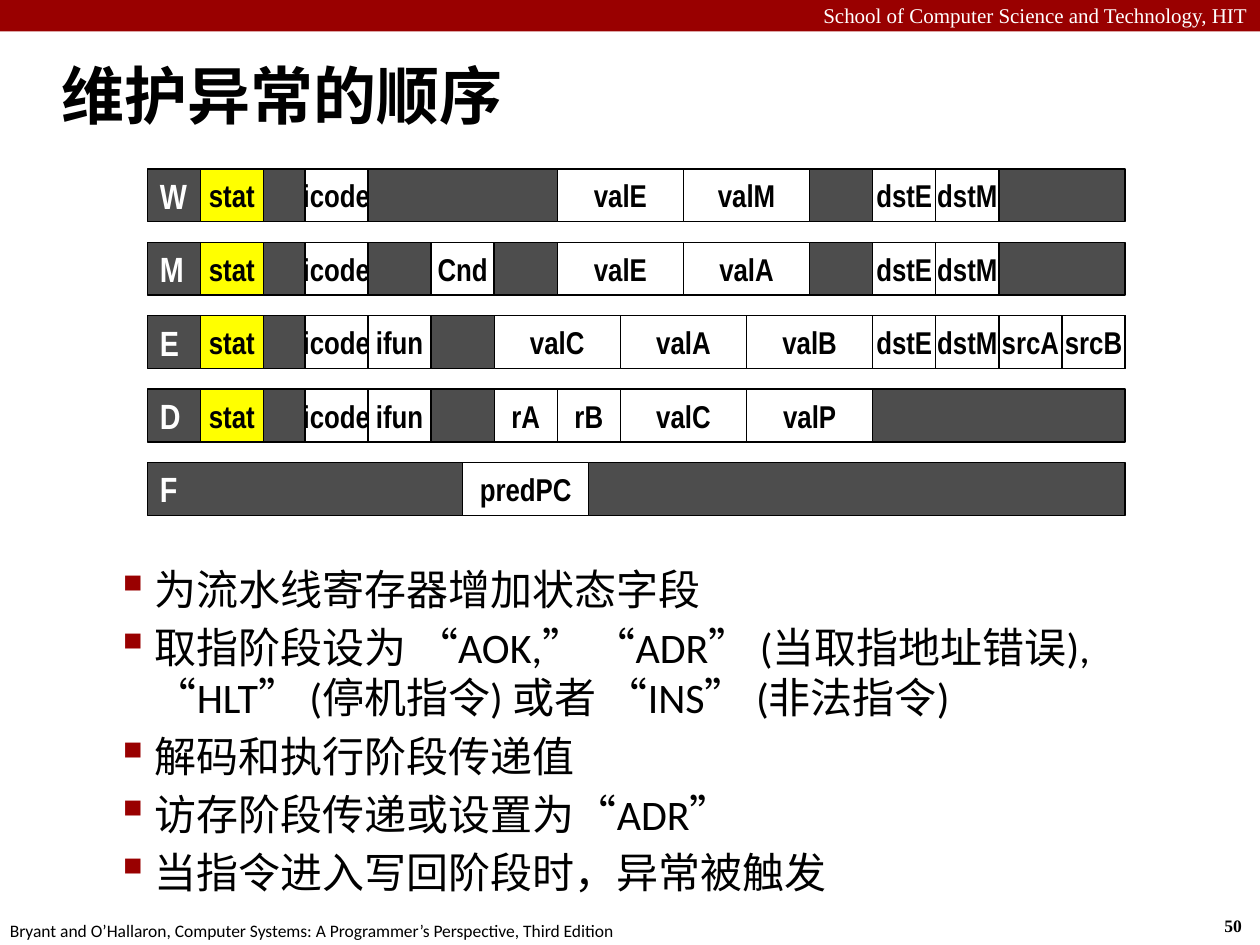
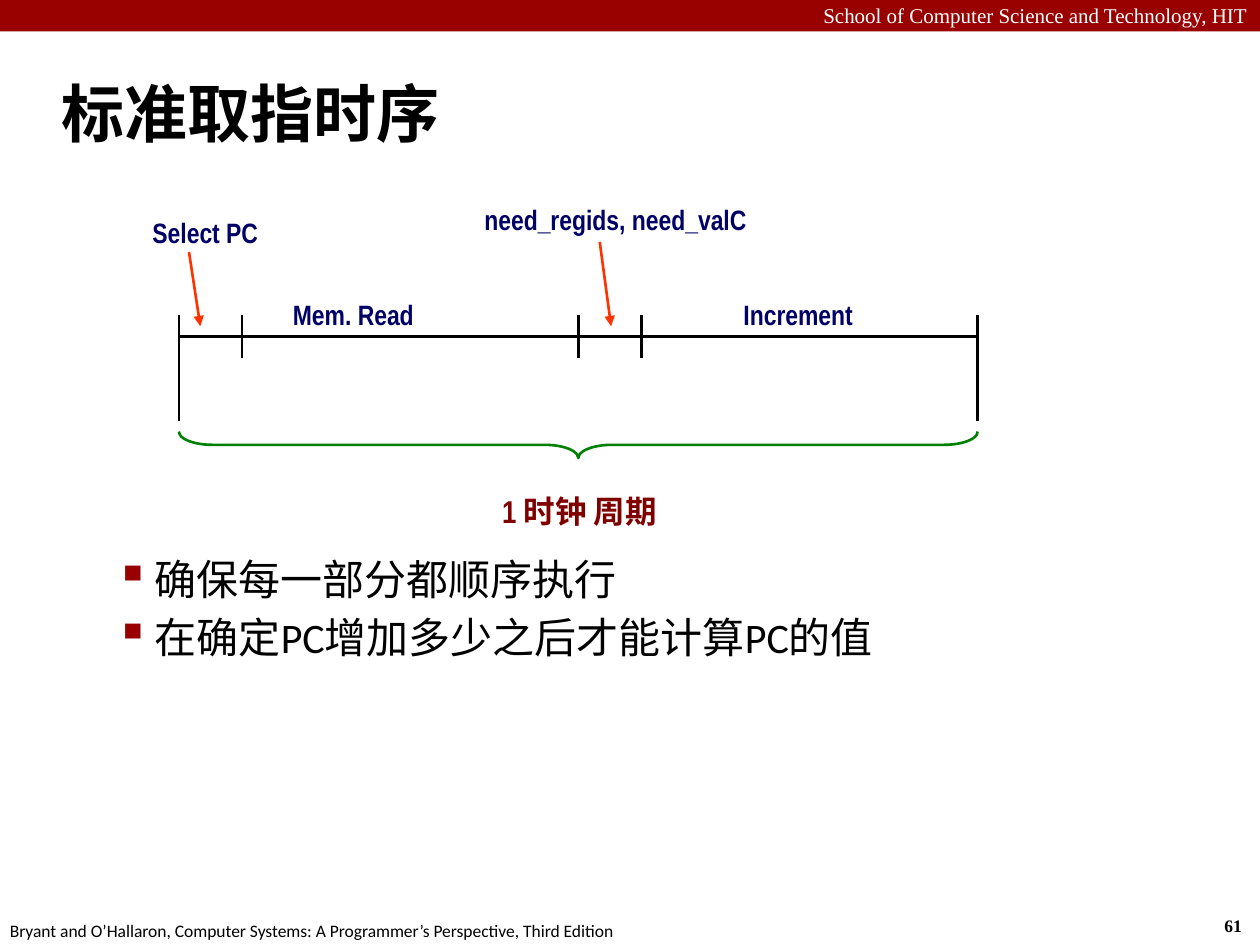
from itertools import pairwise

from lxml import etree
from pptx import Presentation
from pptx.dml.color import RGBColor
from pptx.enum import shapes, text
from pptx.oxml.ns import qn
from pptx.util import Inches, Pt

RED = RGBColor(0x99, 0x00, 0x00)
MAROON = RGBColor(0x80, 0x00, 0x00)
NAVY = RGBColor(0x00, 0x00, 0x66)
ORANGE = RGBColor(0xFF, 0x33, 0x00)
GREEN = RGBColor(0x00, 0x80, 0x00)
YELLOW = RGBColor(0xFF, 0xFF, 0x00)
GRAY = RGBColor(0x4D, 0x4D, 0x4D)
BLACK = RGBColor(0x00, 0x00, 0x00)
WHITE = RGBColor(0xFF, 0xFF, 0xFF)

SERIF, SANS, NARROW = "Times New Roman", "Calibri", "Arial Narrow"
LEFT, CENTER, RIGHT = text.PP_ALIGN.LEFT, text.PP_ALIGN.CENTER, text.PP_ALIGN.RIGHT
TOP, MIDDLE = text.MSO_ANCHOR.TOP, text.MSO_ANCHOR.MIDDLE

# Pipeline registers: name, then (field, first slot, slots wide)
STATUS_SLOT = "stat"
DESTINATIONS = [("dstE", 9, 1), ("dstM", 10, 1)]
REGISTERS = [
    ("W", [("icode", 0, 1), ("valE", 4, 2), ("valM", 6, 2), *DESTINATIONS]),
    ("M", [("icode", 0, 1), ("Cnd", 2, 1), ("valE", 4, 2), ("valA", 6, 2),
           *DESTINATIONS]),
    ("E", [("icode", 0, 1), ("ifun", 1, 1), ("valC", 3, 2), ("valA", 5, 2),
           ("valB", 7, 2), *DESTINATIONS, ("srcA", 11, 1), ("srcB", 12, 1)]),
    ("D", [("icode", 0, 1), ("ifun", 1, 1), ("rA", 3, 1), ("rB", 4, 1),
           ("valC", 5, 2), ("valP", 7, 2)]),
    ("F", [("predPC", 2.5, 2)]),
]
SLOT_COUNT = 13


# Basic parts
def write(shape, content, font, size, color, bold=False, align=LEFT,
          anchor=TOP, wrap=False):
    frame = shape.text_frame
    frame.text = content
    frame.word_wrap = wrap
    frame.vertical_anchor = anchor
    for paragraph in frame.paragraphs:
        paragraph.alignment = align
        for run in paragraph.runs:
            run.font.name = font
            run.font.size = Pt(size)
            run.font.bold = bold
            run.font.color.rgb = color


def add_text(slide, box, content, font, size, color, **style):
    shape = slide.shapes.add_textbox(*map(Inches, box))
    write(shape, content, font, size, color, **style)
    return shape


def add_box(parent, box, fill, line=None):
    shape = parent.shapes.add_shape(shapes.MSO_SHAPE.RECTANGLE, *map(Inches, box))
    shape.shadow.inherit = False
    shape.fill.solid()
    shape.fill.fore_color.rgb = fill
    if line is None:
        shape.line.fill.background()
    else:
        shape.line.color.rgb = line
        shape.line.width = Pt(0.75)
    return shape


def add_line(slide, start, end, color=BLACK, arrow=False):
    line = slide.shapes.add_connector(
        shapes.MSO_CONNECTOR.STRAIGHT, *map(Inches, (*start, *end)))
    line.line.color.rgb = color
    line.line.width = Pt(1.5)
    if arrow:
        etree.SubElement(line.line._get_or_add_ln(), qn("a:tailEnd"), type="triangle")
    etree.SubElement(line._element.spPr, qn("a:effectLst"))


# Band, title and footers shared by the slides
def add_frame(presentation, title, title_box, number):
    slide = presentation.slides.add_slide(presentation.slide_layouts[6])
    add_box(slide, (0, 0, 10, 0.25), RED)
    add_text(slide, (0, -0.03, 10, 0.3), "School of Computer Science and Technology, HIT",
             SERIF, 12, WHITE, align=RIGHT, wrap=True)
    add_text(slide, (9.62, 7.21, 0.37, 0.27), str(number), SERIF, 10, BLACK, bold=True)
    add_text(slide, (-0.02, 7.25, 5.08, 0.27),
             "Bryant and O’Hallaron, Computer Systems: "
             "A Programmer’s Perspective, Third Edition", SANS, 10, BLACK)
    add_text(slide, title_box, title, SANS, 36, BLACK, bold=True,
             anchor=MIDDLE, wrap=True)
    return slide


def add_bullets(slide, box, items):
    shape = add_text(slide, box, "\n".join(items), SANS, 24, BLACK, wrap=True)
    for index, paragraph in enumerate(shape.text_frame.paragraphs):
        properties = paragraph._p.get_or_add_pPr()
        properties.set("marL", str(Inches(0.81)))
        properties.set("indent", str(Inches(-0.31)))
        color = etree.SubElement(properties, qn("a:buClr"))
        etree.SubElement(color, qn("a:srgbClr"), val=str(RED))
        etree.SubElement(properties, qn("a:buSzPct"), val="110000")
        etree.SubElement(properties, qn("a:buChar"), char="▪")
        if index:
            paragraph.space_before = Pt(4.5)


# One pipeline register: a dark bar with its fields on top
def add_register(slide, box, name, fields):
    left, top, width, height = box
    group = slide.shapes.add_group_shape()
    bar = add_box(group, box, GRAY, BLACK)
    write(bar, name, NARROW, 20, WHITE, bold=True, anchor=MIDDLE)

    slots_left = left + 1.25
    slot = (left + width - slots_left) / SLOT_COUNT
    cells = [(field, slots_left + first * slot, count * slot, WHITE)
             for field, first, count in fields]
    if name != "F":
        cells.append((STATUS_SLOT, left + 0.42, slot, YELLOW))
    for field, cell_left, cell_width, fill in cells:
        cell = add_box(group, (cell_left, top, cell_width, height), fill, BLACK)
        write(cell, field, NARROW, 18, BLACK, bold=True, align=CENTER, anchor=MIDDLE)


def add_registers(slide, box):
    left, top, width, height = box
    bar_height = 0.42
    pitch = (height - bar_height) / (len(REGISTERS) - 1)
    for row, (name, fields) in enumerate(REGISTERS):
        add_register(slide, (left, top + row * pitch, width, bar_height), name, fields)


# Fetch timing: axis with ticks, labels, arrows and a brace below
def add_timeline(slide, box):
    left, top, width, height = box
    axis = top + 1.08
    tick_top = axis - 0.17
    ticks = [left + offset for offset in (0, 0.5, 3.17, 3.67, width)]
    for tick in ticks:
        length = 0.84 if tick in (ticks[0], ticks[-1]) else 0.34
        add_line(slide, (tick, tick_top), (tick, tick_top + length))
    for start, end in pairwise(ticks):
        add_line(slide, (start, axis), (end, axis))

    labels = [
        ("Select PC", -0.36, 0.1, 1.14, 16, NAVY),
        ("need_regids, need_valC", 2.13, 0, 2.67, 16, NAVY),
        ("Mem. Read", 0.74, 0.75, 1.29, 16, NAVY),
        ("Increment", 4.33, 0.75, 1.17, 16, NAVY),
        ("1 时钟 周期", 2.48, 2.3, 1.4, 18, MAROON),
    ]
    for content, x, y, label_width, size, color in labels:
        label = add_text(slide, (left + x, top + y, label_width, 0.35), content,
                         NARROW, size, color, bold=True, align=CENTER)
        label.text_frame.margin_left = label.text_frame.margin_right = Inches(0.05)
        label.text_frame.paragraphs[0].line_spacing = 0.9

    for x, y in ((0.08, 0.41), (3.34, 0.33)):
        add_line(slide, (left + x, top + y), (left + x + 0.09, top + 1),
                 ORANGE, arrow=True)

    # The brace is drawn upright, then turned about its centre
    depth = 0.21
    center_x, center_y = left + width / 2, top + height - 0.73
    brace = slide.shapes.add_shape(
        shapes.MSO_SHAPE.LEFT_BRACE,
        *map(Inches, (center_x - depth / 2, center_y - width / 2, depth, width)))
    brace.rotation = 270
    brace.adjustments[0] = 1.267
    brace.shadow.inherit = False
    brace.fill.background()
    brace.line.color.rgb = GREEN
    brace.line.width = Pt(1.5)


def build_exception_slide(presentation):
    slide = add_frame(presentation, "维护异常的顺序", (0.39, 0.5, 9.61, 0.5), 50)
    add_bullets(slide, (0.32, 4.42, 9.19, 2.41), [
        "为流水线寄存器增加状态字段",
        "取指阶段设为 “AOK,” “ADR” (当取指地址错误), “HLT” (停机指令) 或者 “INS” (非法指令)",
        "解码和执行阶段传递值",
        "访存阶段传递或设置为“ADR”",
        "当指令进入写回阶段时，异常被触发",
    ])
    add_registers(slide, (1.17, 1.34, 7.76, 2.75))


def build_timing_slide(presentation):
    slide = add_frame(presentation, "标准取指时序", (0.39, 0.48, 9.61, 0.83), 61)
    add_bullets(slide, (0.32, 4.34, 9.08, 2.71), [
        "确保每一部分都顺序执行",
        "在确定PC增加多少之后才能计算PC的值",
    ])
    add_timeline(slide, (1.42, 1.59, 6.34, 2.67))


def main():
    presentation = Presentation()
    presentation.slide_width = Inches(10)
    presentation.slide_height = Inches(7.5)
    build_exception_slide(presentation)
    build_timing_slide(presentation)
    presentation.save("out.pptx")


if __name__ == "__main__":
    main()
